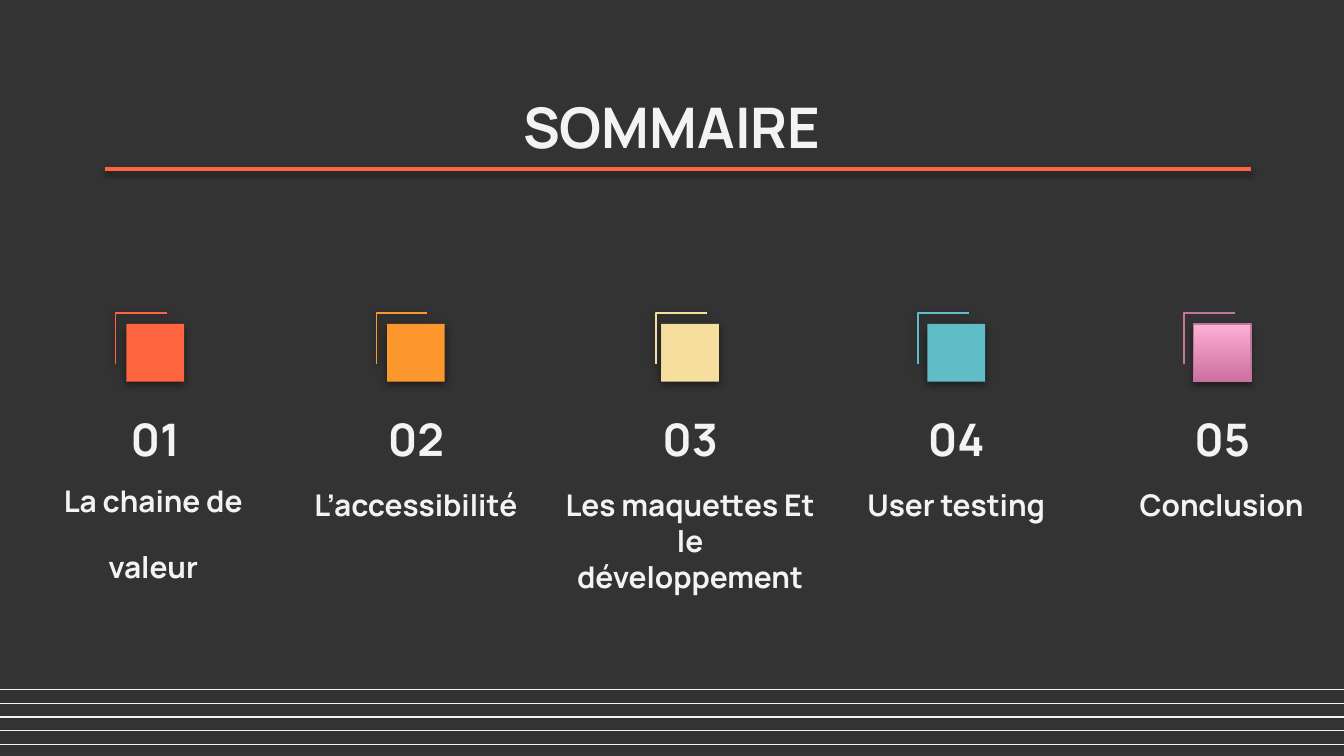
from lxml.etree import SubElement
from pptx import Presentation
from pptx.dml.color import RGBColor
from pptx.enum.shapes import MSO_CONNECTOR, MSO_SHAPE
from pptx.enum.text import MSO_ANCHOR, PP_ALIGN
from pptx.oxml.ns import qn
from pptx.util import Inches, Pt

COLORS = {
    "bg": "333333", "text": "F3F3F3", "black": "000000",
    "red": "FE643E", "orange": "FC972D", "sand": "F6DE9E", "teal": "5EBDC6",
    "pink": "BF779D", "pink_dark": "CD70A0", "pink_light": "FFAFD5",
}
SOFT = (50, 4.5, 1.5)
RULE = (38, 3.1, 1.6)
TILE = (35, 3.1, 1.8)
CHAPTERS = [
    (0.12, (-0.02, 3.49, 2.32, 0.41), 0.08, "red", ["La chaine de", "valeur"]),
    (2.06, (2.06, 3.52, 2.07, 0.41), 0.08, "orange", ["L’accessibilité"]),
    (4.1, (4.1, 3.52, 2.07, 1.61), 0.04, "sand", ["Les maquettes Et le développement"]),
    (6.08, (6.08, 3.52, 2.07, 0.41), 0.07, "teal", ["User testing"]),
    (8.06, (8.2, 3.52, 1.78, 0.41), 0.07, "pink", ["Conclusion"]),
]


def rgb(name):
    return RGBColor.from_string(COLORS[name])


def add_shadow(shape, shadow):
    effects = SubElement(shape._element.spPr, qn("a:effectLst"))
    if shadow:
        alpha, blur, dist = shadow
        outer = SubElement(effects, qn("a:outerShdw"), blurRad=str(Pt(blur)),
                           dist=str(Pt(dist)), dir="5400000",
                           algn="bl", rotWithShape="0")
        color = SubElement(outer, qn("a:srgbClr"), val=COLORS["black"])
        SubElement(color, qn("a:alpha"), val=str(alpha * 1000))


def write(shape, box, lines, size, anchor=MSO_ANCHOR.TOP, after=0):
    shape.left, shape.top, shape.width, shape.height = map(Inches, box)
    tf = shape.text_frame
    frame = {"word_wrap": True, "vertical_anchor": anchor}
    for side in ("left", "top", "right", "bottom"):
        frame[f"margin_{side}"] = Inches(0.1)
    for name, value in frame.items():
        setattr(tf, name, value)
    for i, line in enumerate(lines):
        p = tf.paragraphs[0] if i == 0 else tf.add_paragraph()
        layout = {"alignment": PP_ALIGN.CENTER, "line_spacing": 1.0,
                  "space_before": Pt(0), "space_after": Pt(after)}
        for name, value in layout.items():
            setattr(p, name, value)
        r = p.add_run()
        r.text = line
        for name, value in {"name": "Manrope", "size": Pt(size), "bold": True}.items():
            setattr(r.font, name, value)
        r.font.color.rgb = rgb("text")


def add_rule(s, x1, x2, y, color, width, shadow):
    line = s.shapes.add_connector(MSO_CONNECTOR.STRAIGHT, Inches(x1), Inches(y),
                                  Inches(x2), Inches(y))
    line.line.color.rgb = rgb(color)
    line.line.width = Pt(width)
    add_shadow(line, shadow)


def add_header(s, x, y, w, h):
    write(s.shapes.title, (x, y, w, h), ["SOMMAIRE"], 30)
    add_rule(s, x, x + w + 0.09, y + h, "red", 2, RULE)


def add_tile(s, x, y, size, color):
    tile = s.shapes.add_shape(MSO_SHAPE.RECTANGLE, Inches(x), Inches(y),
                              Inches(size), Inches(size))
    if color == "pink":
        tile.fill.gradient()
        tile.fill.gradient_angle = 90
        for stop, name in zip(tile.fill.gradient_stops, ("pink_dark", "pink_light")):
            stop.color.rgb = rgb(name)
        tile.line.color.rgb = rgb(color)
        tile.line.width = Pt(0.75)
    else:
        tile.fill.solid()
        tile.fill.fore_color.rgb = rgb(color)
        tile.line.fill.background()
    add_shadow(tile, TILE if color == "pink" else SOFT)


def add_bracket(s, x, y, size, color):
    builder = s.shapes.build_freeform(Inches(x), Inches(y + size))
    builder.add_line_segments([(Inches(x), Inches(y)),
                               (Inches(x + size), Inches(y))], close=False)
    bracket = builder.convert_to_shape()
    bracket.fill.background()
    bracket.line.color.rgb = rgb(color)
    bracket.line.width = Pt(0.75)
    add_shadow(bracket, None if color == "pink" else SOFT)


def add_chapter(s, x, y, w, label_box, offset, number, color, lines):
    tile_x = x + 0.82
    add_tile(s, tile_x, y + 0.08, 0.43, color)
    add_bracket(s, tile_x - offset, y, 0.38, color)
    for box, text, size, anchor, after in (
        ((x, y + 0.67, w, 0.52), [f"{number:02}"], 24, MSO_ANCHOR.MIDDLE, 0),
        (label_box, lines, 16, MSO_ANCHOR.TOP, 16),
    ):
        write(s.shapes.add_textbox(0, 0, 0, 0), box, text, size, anchor, after)


def add_footer(s, x, y, w, h, count):
    for i in range(count):
        add_rule(s, x, x + w, y + i * h / (count - 1), "text", 0.75, SOFT)


def main():
    prs = Presentation()
    prs.slide_width = Inches(10)
    prs.slide_height = prs.slide_width * 9 // 16
    s = prs.slides.add_slide(prs.slide_layouts[5])
    s.background.fill.solid()
    s.background.fill.fore_color.rgb = rgb("bg")
    add_header(s, 0.78, 0.59, 8.44, 0.67)
    for number, (x, label_box, offset, color, lines) in enumerate(CHAPTERS, 1):
        add_chapter(s, x, 2.33, 2.07, label_box, offset, number, color, lines)
    add_footer(s, 0, 5.13, 10.01, 0.41, 5)
    prs.save("out.pptx")


if __name__ == "__main__":
    main()
